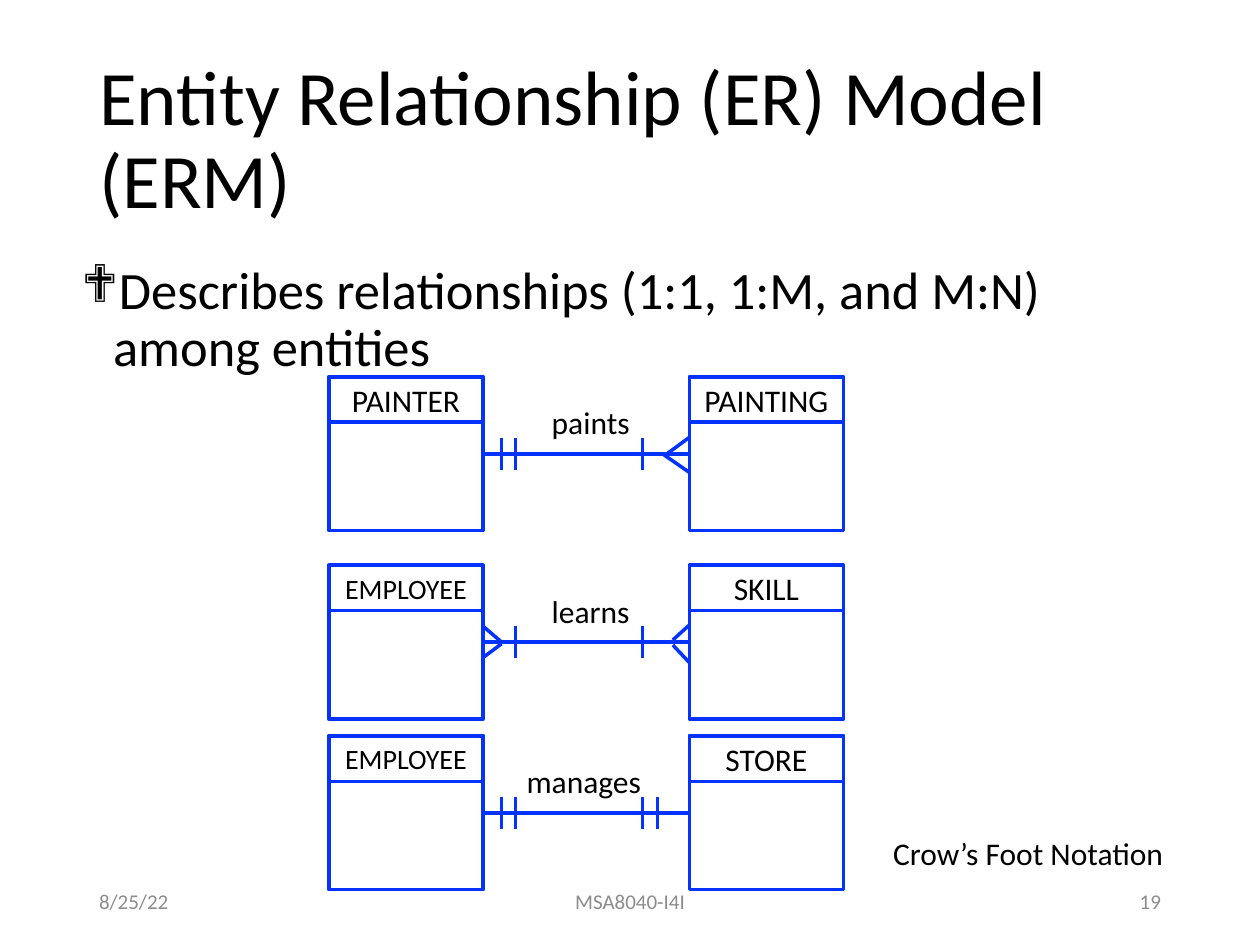
"""Builds the slide on the entity relationship model in crow's foot notation."""
from lxml.etree import SubElement
from pptx import Presentation
from pptx.dml.color import RGBColor as Rgb
from pptx.enum.shapes import MSO_CONNECTOR as Conn, MSO_SHAPE as Kind
from pptx.enum.text import MSO_ANCHOR as Anchor, MSO_AUTO_SIZE as Auto, PP_ALIGN as Align
from pptx.oxml.ns import qn
from pptx.util import Pt

COLORS = {"text": "000000", "line": "0432FF", "foot": "8C8C8C"}
FONT = "Calibri"
TITLE = "Entity Relationship (ER) Model (ERM)"
BODY = "Describes relationships (1:1, 1:M, and M:N) among entities"
NOTE = "Crow’s Foot Notation"
FOOTER = [
    ("8/25/22", 49.5, 162, Align.LEFT),
    ("MSA8040-I4I", 238.5, 243, Align.CENTER),
    ("19", 508.5, 162, Align.RIGHT),
]
LEFT, RIGHT, SIDE, HEAD = 188, 394, 88, 26
EDGE = LEFT + SIDE
TICK = 9.2
ROWS = [
    {"top": 215.3, "ends": [("PAINTER", 18), ("PAINTING", 18)],
     "verb": ("paints", 308.2, 59.8), "ticks": [286.6, 294.5, 367.2],
     "feet": [(379.4, RIGHT, 1.3, -9.4), (379.4, RIGHT, 0.6, 10.7)]},
    {"top": 323, "ends": [("EMPLOYEE", 16), ("SKILL", 18)],
     "verb": ("learns", 308.2, 59.8), "ticks": [294.5, 367.2],
     "feet": [(384.5, RIGHT, -1.3, -9.9), (384.5, RIGHT, 1.6, 11.7),
              (286, EDGE, -0.6, -9.2), (286.6, EDGE, 0.9, 8.8)]},
    {"top": 420.5, "ends": [("EMPLOYEE", 16), ("STORE", 18)],
     "verb": ("manages", 293.8, 80.6), "ticks": [286.6, 294.5, 367.2, 375.8],
     "feet": []},
]


def write(shape, text, size=18, color="text", align=Align.LEFT,
          anchor=Anchor.TOP, wrap=True, space=None):
    frame = shape.text_frame
    frame.word_wrap = wrap
    frame.auto_size = Auto.NONE if wrap else Auto.SHAPE_TO_FIT_TEXT
    frame.vertical_anchor = anchor
    para = frame.paragraphs[0]
    para.alignment = align
    para.line_spacing = space
    run = para.add_run()
    run.text = text
    run.font.size = Pt(size)
    run.font.name = FONT
    run.font.color.rgb = Rgb.from_string(COLORS[color])
    return para


def place(shape, *box):
    shape.left, shape.top, shape.width, shape.height = map(Pt, box)


def label(shapes, text, *box, **style):
    return write(shapes.add_textbox(*map(Pt, box)), text, **style)


def ink(shape):
    shape.line.color.rgb = Rgb.from_string(COLORS["line"])
    shape.line.width = Pt(2)


def rect(shapes, *box):
    shape = shapes.add_shape(Kind.RECTANGLE, *map(Pt, box))
    shape.shadow.inherit = False
    shape.fill.background()
    ink(shape)
    return shape


def link(shapes, *ends):
    line = shapes.add_connector(Conn.STRAIGHT, *map(Pt, ends))
    SubElement(line._element.spPr, qn("a:effectLst"))
    ink(line)
    return line


def relate(shapes, row):
    top = row["top"]
    mid = top + SIDE / 2
    boxes = []
    for left, (name, size) in zip((LEFT, RIGHT), row["ends"]):
        boxes.append(rect(shapes, left, top, SIDE, SIDE))
        head = rect(shapes, left, top, SIDE, HEAD)
        head.text_frame.margin_left = head.text_frame.margin_right = 0
        write(head, name, size=size, align=Align.CENTER, anchor=Anchor.MIDDLE)
    line = link(shapes, EDGE, mid, RIGHT, mid)
    line.begin_connect(boxes[0], 3)
    line.end_connect(boxes[1], 1)
    verb, left, width = row["verb"]
    label(shapes, verb, left, top + 11.5, width, 29, wrap=False)
    for x in row["ticks"]:
        link(shapes, x, mid - TICK, x, mid + TICK)
    for tip, edge, near, far in row["feet"]:
        link(shapes, tip, mid + near, edge, mid + far)


def main():
    deck = Presentation()
    deck.slide_width, deck.slide_height = Pt(720), Pt(540)
    slide = deck.slides.add_slide(deck.slide_layouts[5])
    shapes = slide.shapes
    place(shapes.title, 49.5, 28.8, 621, 104.4)
    write(shapes.title, TITLE, size=44, anchor=Anchor.MIDDLE, space=0.9)

    para = label(shapes, BODY, 39.6, 147.6, 621, 123, size=30, space=0.9)
    para.space_before = Pt(10)
    props = para._p.get_or_add_pPr()
    props.set("marL", str(Pt(18)))
    props.set("indent", str(-Pt(18)))
    SubElement(props, qn("a:buFont")).set("typeface", "Wingdings")
    SubElement(props, qn("a:buChar")).set("char", "❖")

    for text, left, width, align in FOOTER:
        label(shapes, text, left, 500.5, width, 28.8, size=12, color="foot",
              align=align, anchor=Anchor.MIDDLE)
    for row in ROWS:
        relate(shapes.add_group_shape().shapes, row)
    label(shapes, NOTE, 503.3, 473, 170.6, 29, wrap=False)
    deck.save("out.pptx")


if __name__ == "__main__":
    main()
